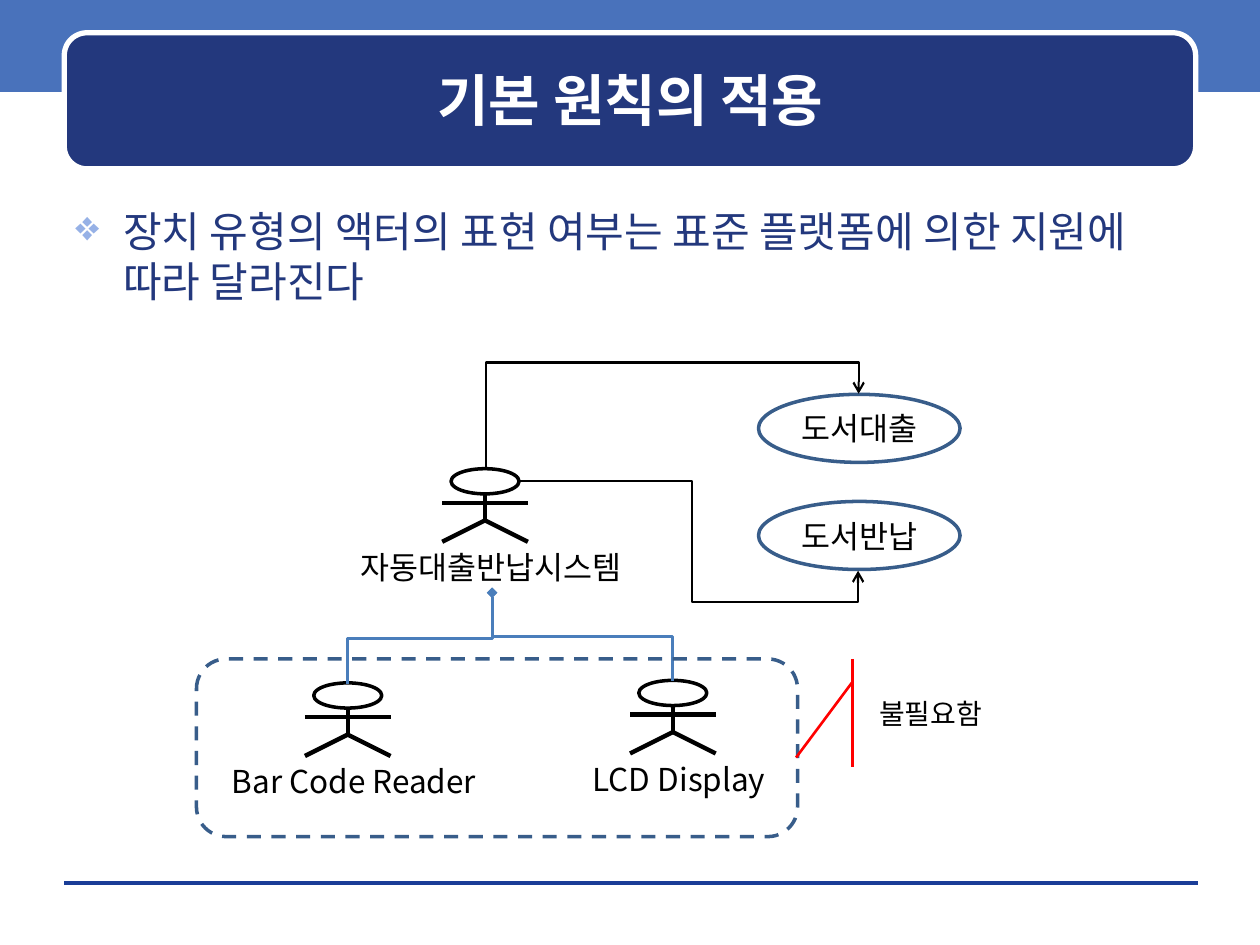
from pptx import Presentation
from pptx.dml.color import RGBColor
from pptx.enum.dml import MSO_LINE
from pptx.enum.shapes import MSO_CONNECTOR, MSO_SHAPE
from pptx.enum.text import MSO_ANCHOR, PP_ALIGN
from pptx.oxml.ns import qn
from pptx.util import Inches, Pt
from lxml.etree import SubElement

tint = {"band": "4972BB", "navy": "23387D", "rule": "1A3D97", "white": "FFFFFF",
        "black": "000000", "edge": "385D8A", "link": "4A7EBB", "red": "FF0000",
        "mark": "96B1E6"}
face = "Noto Sans CJK KR"

deck = Presentation()
deck.slide_width, deck.slide_height = Inches(10), Inches(7.5)
cell = deck.slide_width / 100
slide = deck.slides.add_slide(deck.slide_layouts[5])
page = slide.shapes
texts = []


def put(host, kind, x, y, wide, high, fill=None, line=None, thick=2):
    shape = host.add_shape(kind, *[round(v * cell) for v in (x, y, wide, high)])
    shape.shadow.inherit = False
    if fill:
        shape.fill.solid()
        shape.fill.fore_color.rgb = RGBColor.from_string(tint[fill])
    else:
        shape.fill.background()
    if line:
        shape.line.color.rgb = RGBColor.from_string(tint[line])
        shape.line.width = Pt(thick)
    else:
        shape.line.fill.background()
    return shape


def wire(host, ends, tone, thick, turn=0, form=None, bends=(), head=None):
    kind = MSO_CONNECTOR.ELBOW if form else MSO_CONNECTOR.STRAIGHT
    line = host.add_connector(kind, *[round(v * cell) for v in ends])
    line.line.color.rgb = RGBColor.from_string(tint[tone])
    line.line.width = Pt(thick)
    prop = line._element.spPr
    SubElement(prop, qn("a:effectLst"))
    if head:
        SubElement(prop.find(qn("a:ln")), qn("a:tailEnd"), type=head)
    if form:
        prop.find(qn("a:xfrm")).set("rot", str(turn * 60000))
        shape = prop.find(qn("a:prstGeom"))
        shape.set("prst", form)
        guide = shape.find(qn("a:avLst"))
        for n, bend in enumerate(bends, 1):
            SubElement(guide, qn("a:gd"), name=f"adj{n}", fmla=f"val {round(bend * 100000)}")
    return line


put(page, MSO_SHAPE.RECTANGLE, 0, -0.3, 100, 7.6, "band")
wire(page, (5.1, 70.1, 95.1, 70.1), "rule", 0)
put(page, MSO_SHAPE.ROUNDED_RECTANGLE, 5.1, 2.6, 89.8, 10.8, "navy", "white", 3)

title = page.title
title.left, title.top, title.width, title.height = [
    round(v * cell) for v in (6, 3.5, 88.1, 8.8)]
page._spTree.append(title._element)
title.text_frame.text = "기본 원칙의 적용"
title.text_frame.vertical_anchor = MSO_ANCHOR.MIDDLE
texts.append((title, 32, "white", PP_ALIGN.CENTER))

body = page.add_textbox(*[round(v * cell) for v in (5, 15.8, 90, 53.3)])
body.text_frame.text = "장치 유형의 액터의 표현 여부는 표준 플랫폼에 의한 지원에 따라 달라진다"
prop = body.text_frame.paragraphs[0]._p.get_or_add_pPr()
prop.set("marL", str(Inches(0.38)))
prop.set("indent", str(-Inches(0.38)))
SubElement(SubElement(prop, qn("a:buClr")), qn("a:srgbClr"), val=tint["mark"])
SubElement(prop, qn("a:buChar"), char="❖")
texts.append((body, 24, "navy", PP_ALIGN.LEFT))

for x, y, name in ((38.5, 37.2, "자동대출반납시스템"),
                   (27.6, 54.2, "Bar Code Reader"),
                   (53.4, 54, "LCD Display")):
    actor = page.add_group_shape().shapes
    put(actor, MSO_SHAPE.OVAL, x - 2.7, y, 5.4, 2, line="black")
    for x1, y1, x2, y2 in ((0, 2, 0, 4.1), (-3.4, 2.7, 3.4, 2.7),
                           (0, 4.1, -3.4, 5.8), (0, 4.1, 3.4, 5.8)):
        wire(actor, (x + x1, y + y1, x + x2, y + y2), "black", 2.5)
    label = page.add_textbox(*[round(v * cell) for v in (x - 12.8, y + 5.8, 26.6, 4)])
    label.text_frame.text = name
    texts.append((label, 18, "black", PP_ALIGN.CENTER))

for y, name in ((39.8, "도서반납"), (31.3, "도서대출")):
    case = put(page, MSO_SHAPE.OVAL, 60.2, y, 16, 5.4, line="edge")
    case.text_frame.text = name
    case.text_frame.margin_left = case.text_frame.margin_right = 0
    texts.append((case, 18, "black", PP_ALIGN.CENTER))

for ends, tone, thick, turn, form, bends, head in (
        ((36.9, 56.4, 29.7, 44.9), "link", 1.75, 90, "bentConnector3", [0.5], "diamond"),
        ((42.7, 57.7, 49.7, 43.4), "link", 1.75, 270, "bentConnector3", [0.5], "diamond"),
        ((41.2, 38.2, 68.1, 45.3), "black", 1.25, 0, "bentConnector4", [0.51, 1.35], "arrow"),
        ((56.3, 49, 50.4, 19.4), "black", 1.25, 90, "bentConnector3", [1.42], "arrow")):
    wire(page, ends, tone, thick, turn, form, bends, head)

frame = put(page, MSO_SHAPE.ROUNDED_RECTANGLE, 15.6, 52.3, 47.7, 14.1, line="edge")
frame.line.dash_style = MSO_LINE.DASH

note = put(page, MSO_SHAPE.LINE_CALLOUT_1_ACCENT_BAR, 68.8, 52.3, 18.7, 8.6,
           line="red", thick=1.5)
for n, share in enumerate((0.21, -0.06, 0.91, -0.3)):
    note.adjustments[n] = share
note.text_frame.text = "불필요함"
texts.append((note, 16, "black", PP_ALIGN.LEFT))

for shape, size, tone, side in texts:
    shape.text_frame.word_wrap = True
    para = shape.text_frame.paragraphs[0]
    para.alignment = side
    font = para.runs[0].font
    font.size, font.name, font.bold = Pt(size), face, shape is title
    font.color.rgb = RGBColor.from_string(tint[tone])
    SubElement(para.runs[0]._r.rPr, qn("a:ea"), typeface=face)

deck.save("out.pptx")
